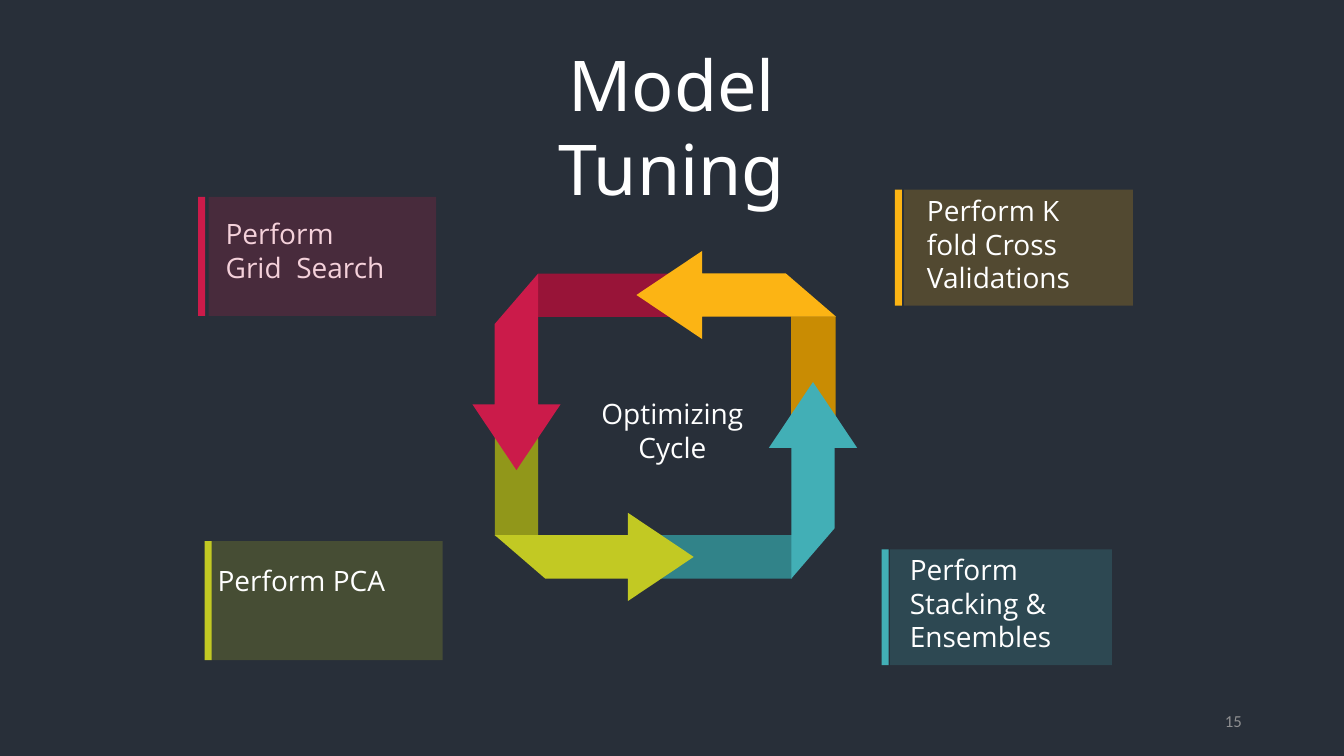
import dataclasses

import pptx
import pptx.dml.color
import pptx.enum.shapes
import pptx.enum.text
import pptx.oxml.ns
import pptx.util
from lxml import etree

Pt = pptx.util.Pt
ALIGN = pptx.enum.text.PP_ALIGN
ANCHOR = pptx.enum.text.MSO_ANCHOR


@dataclasses.dataclass(frozen=True)
class Theme:
    """Colours, fonts and type sizes of the deck."""
    background: str = "282F39"
    white: str = "FFFFFF"
    grey: str = "8E8F91"
    red: str = "CB1B4A"
    dark_red: str = "981438"
    lime: str = "C2C923"
    dark_lime: str = "91971A"
    gold: str = "FCB414"
    dark_gold: str = "C98C03"
    teal: str = "42AFB6"
    dark_teal: str = "318389"
    title_font: str = "Noto Sans"
    body_font: str = "Open Sans"
    number_font: str = "Calibri"
    title_size: int = 50
    body_size: int = 20
    number_size: int = 12


THEME = Theme()


def rgb(colour):
    """Turn a hex string into a colour value."""
    return pptx.dml.color.RGBColor.from_string(colour)


def apply(target, values):
    """Set every attribute in a dict of format values."""
    for name, value in values.items():
        setattr(target, name, value)


def paint(shape, colour, opacity=100):
    """Give a shape a flat fill without line or shadow."""
    shape.shadow.inherit = False
    shape.line.fill.background()
    shape.fill.solid()
    shape.fill.fore_color.rgb = rgb(colour)
    if opacity < 100:
        tag = pptx.oxml.ns.qn("a:srgbClr")
        element = next(shape.fill._xPr.iter(tag))
        alpha = etree.SubElement(element, pptx.oxml.ns.qn("a:alpha"))
        alpha.set("val", str(opacity * 1000))


def add_bar(page, box, colour, opacity=100):
    """Add a plain rectangle."""
    kind = pptx.enum.shapes.MSO_SHAPE.RECTANGLE
    paint(page.shapes.add_shape(kind, *map(Pt, box)), colour, opacity)


def add_text(page, box, text, align=ALIGN.LEFT, anchor=ANCHOR.TOP,
             font=THEME.body_font, size=THEME.body_size, colour=THEME.white):
    """Add one wrapped paragraph of text."""
    frame = page.shapes.add_textbox(*map(Pt, box)).text_frame
    apply(frame, {"word_wrap": True, "vertical_anchor": anchor})
    para = frame.paragraphs[0]
    para.alignment = align
    span = para.add_run()
    span.text = text
    apply(span.font, {"name": font, "size": Pt(size)})
    span.font.color.rgb = rgb(colour)


def add_card(page, box, gap, text_box, text, colour, text_behind=False):
    """Add a tinted card with a strip at its left and a text placed within it."""
    left, top, width, height = box
    dx, dy, text_width, text_height = text_box
    label = (left + dx, top + dy, text_width, text_height)
    if text_behind:
        add_text(page, label, text)
    add_bar(page, (left + gap, top, width - gap, height), colour, 20)
    add_bar(page, (left, top, 5, height), colour)
    if not text_behind:
        add_text(page, label, text)


def add_arrow(page, tail, direction, length, colour):
    """Add a bevelled arrow from its tail corner along a unit direction."""
    shaft, head, wing, bevel = 31, 47, 16, 36
    neck = length - head
    outline = [(0, 0), (bevel, shaft), (neck, shaft), (neck, shaft + wing),
               (length, shaft / 2), (neck, -wing), (neck, 0)]
    (x, y), (dx, dy) = tail, direction
    points = [(Pt(x + along * dx - across * dy), Pt(y + along * dy + across * dx))
              for along, across in outline]
    builder = page.shapes.build_freeform(*points[0], scale=1.0)
    builder.add_line_segments(points[1:], close=True)
    paint(builder.convert_to_shape(), colour)


def add_cycle(page, box):
    """Add the ring of four folded arrows and its centre label."""
    left, top, width, height = box
    sides = [
        ((228.2, 46, 31.7, 77), THEME.dark_gold, None),
        ((121.7, 202.3, 107.2, 31), THEME.dark_teal,
         ((228.2, 233.3), (0, -1), 140.4, THEME.teal)),
        ((16.5, 116, 31, 87), THEME.dark_lime,
         ((16.5, 202.3), (1, 0), 142, THEME.lime)),
        ((47.4, 15.4, 106.6, 31), THEME.dark_red,
         ((260.2, 46.2), (-1, 0), 142.6, THEME.gold)),
    ]
    for (x, y, band_width, band_height), shade, arrow in sides:
        add_bar(page, (left + x, top + y, band_width, band_height), shade)
        if arrow:
            (x, y), direction, length, colour = arrow
            add_arrow(page, (left + x, top + y), direction, length, colour)
    add_arrow(page, (left + 47.4, top + 15.4), (0, 1), 140.4, THEME.red)
    label_width, label_height = 134, 55.4
    label = (left + (width - label_width) / 2 + 5.4, top + 100, label_width, label_height)
    add_text(page, label, "Optimizing Cycle", ALIGN.CENTER)


def add_tuning_slide(deck):
    """Add the model tuning slide."""
    page = deck.slides.add_slide(deck.slide_layouts[6])
    page.background.fill.solid()
    page.background.fill.fore_color.rgb = rgb(THEME.background)
    add_text(page, (318.2, 26, 323.3, 67.7), "Model Tuning", ALIGN.CENTER,
             font=THEME.title_font, size=THEME.title_size)
    add_card(page, (141.6, 140.6, 170, 85), 7.4, (12.5, 10.6, 131.8, 55.4),
             "Perform Grid  Search", THEME.red, text_behind=True)
    add_card(page, (146.2, 386.6, 170, 85), 4.5, (2.1, 12.3, 144, 32.4),
             "Perform PCA", THEME.lime)
    add_card(page, (639.2, 135.5, 170, 82.8), 6.6, (15.8, -0.8, 137, 85),
             "Perform K fold Cross Validations", THEME.gold)
    add_card(page, (629.8, 392.4, 164.4, 82.8), 6, (13, -1.4, 157, 85),
             "Perform Stacking & Ensembles", THEME.teal)
    add_cycle(page, (337, 180, 275.8, 248.4))
    add_text(page, (678.2, 500.4, 216, 28.8), "15", ALIGN.RIGHT, ANCHOR.MIDDLE,
             THEME.number_font, THEME.number_size, THEME.grey)


def main():
    """Build and save the deck."""
    deck = pptx.Presentation()
    apply(deck, {"slide_width": Pt(960), "slide_height": Pt(540)})
    add_tuning_slide(deck)
    deck.save("out.pptx")


if __name__ == "__main__":
    main()
